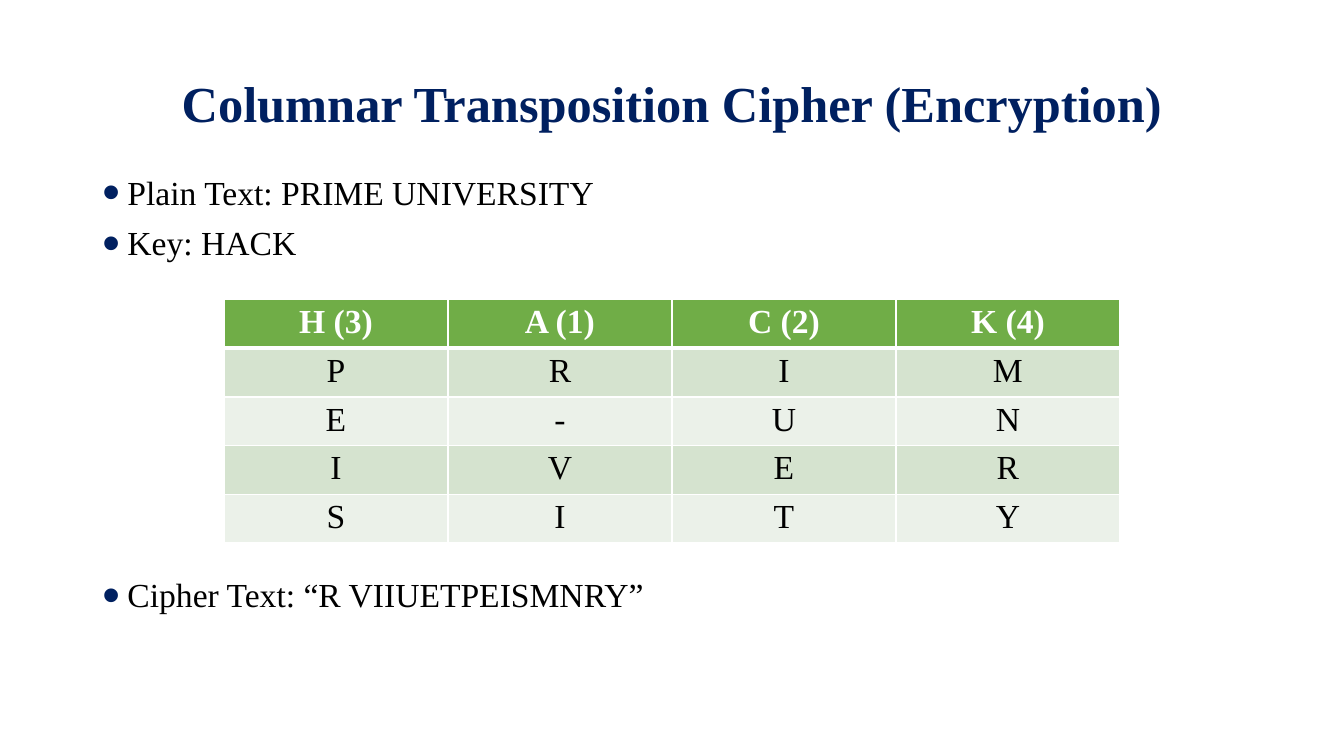
from lxml.etree import SubElement
from pptx import Presentation
from pptx.dml.color import RGBColor
from pptx.enum.text import MSO_ANCHOR, PP_ALIGN
from pptx.oxml.ns import qn
from pptx.util import Pt

COLORS = {
    "navy": "002060", "black": "000000", "white": "FFFFFF",
    "header": "70AD47", "odd_row": "D5E3CF", "even_row": "EBF1E9",
}


class CipherSlide:
    font = "Times New Roman"

    def __init__(self, deck):
        self.slide = deck.slides.add_slide(deck.slide_layouts[5])

    def set_text(self, paragraph, text, size, color, bold=False, **layout):
        paragraph.text = text
        for key, value in layout.items():
            setattr(paragraph, key, value)
        font = paragraph.runs[0].font
        for key, value in {"name": self.font, "size": Pt(size), "bold": bold}.items():
            setattr(font, key, value)
        font.color.rgb = RGBColor.from_string(COLORS[color])

    def title(self, text, left, top, width, height):
        heading = self.slide.shapes.title
        box = {"left": left, "top": top, "width": width, "height": height}
        for key, value in box.items():
            setattr(heading, key, Pt(value))
        heading.text_frame.vertical_anchor = MSO_ANCHOR.MIDDLE
        self.set_text(heading.text_frame.paragraphs[0], text, 36, "navy", True,
                      alignment=PP_ALIGN.CENTER, line_spacing=0.9)

    def bullets(self, items, *box):
        frame = self.slide.shapes.add_textbox(*map(Pt, box)).text_frame
        frame.word_wrap = True
        for index, (text, gap) in enumerate(items):
            paragraph = frame.add_paragraph() if index else frame.paragraphs[0]
            self.set_text(paragraph, text, 24, "black", alignment=PP_ALIGN.JUSTIFY,
                          line_spacing=0.9, space_before=Pt(gap))
            self.bullet(paragraph)

    def bullet(self, paragraph):
        props = paragraph._p.get_or_add_pPr()
        props.set("marL", str(Pt(18)))
        props.set("indent", str(-Pt(18)))
        color = SubElement(props, qn("a:buClr"))
        SubElement(color, qn("a:srgbClr"), val=COLORS["navy"])
        SubElement(props, qn("a:buSzPct"), val="150000")
        SubElement(props, qn("a:buFont"), typeface="Arial")
        SubElement(props, qn("a:buChar"), char="•")

    def table(self, rows, left, top, width, row_height):
        box = map(Pt, (left, top, width, row_height * len(rows)))
        grid = self.slide.shapes.add_table(len(rows), len(rows[0]), *box).table
        for r, row in enumerate(rows):
            header = r == 0
            fill = "header" if header else "odd_row" if r % 2 else "even_row"
            for c, text in enumerate(row):
                cell = grid.cell(r, c)
                cell.margin_top = cell.margin_bottom = Pt(3)
                self.set_text(cell.text_frame.paragraphs[0], text, 24,
                              "white" if header else "black", header,
                              alignment=PP_ALIGN.CENTER)
                self.borders(cell, {"L": 1, "R": 1, "T": 3 if r == 1 else 1,
                                    "B": 3 if header else 1})
                cell.fill.solid()
                cell.fill.fore_color.rgb = RGBColor.from_string(COLORS[fill])

    def borders(self, cell, widths):
        props = cell._tc.get_or_add_tcPr()
        for side, width in widths.items():
            line = SubElement(props, qn(f"a:ln{side}"), w=str(Pt(width)))
            fill = SubElement(line, qn("a:solidFill"))
            SubElement(fill, qn("a:srgbClr"), val=COLORS["white"])


deck = Presentation()
deck.slide_width, deck.slide_height = Pt(960), Pt(540)
cipher = CipherSlide(deck)
cipher.title("Columnar Transposition Cipher (Encryption)", 66, 28.75, 828, 94)
cipher.bullets([
    ("Plain Text: PRIME UNIVERSITY", 10),
    ("Key: HACK", 10),
    ("Cipher Text: “R VIIUETPEISMNRY”", 225.7),
], 66, 122.4, 828, 410)
key_row = ["H (3)", "A (1)", "C (2)", "K (4)"]
letter_rows = ["PRIM", "E-UN", "IVER", "SITY"]
cipher.table([key_row, *letter_rows], 160, 214, 640, 33.7)
deck.save("out.pptx")
